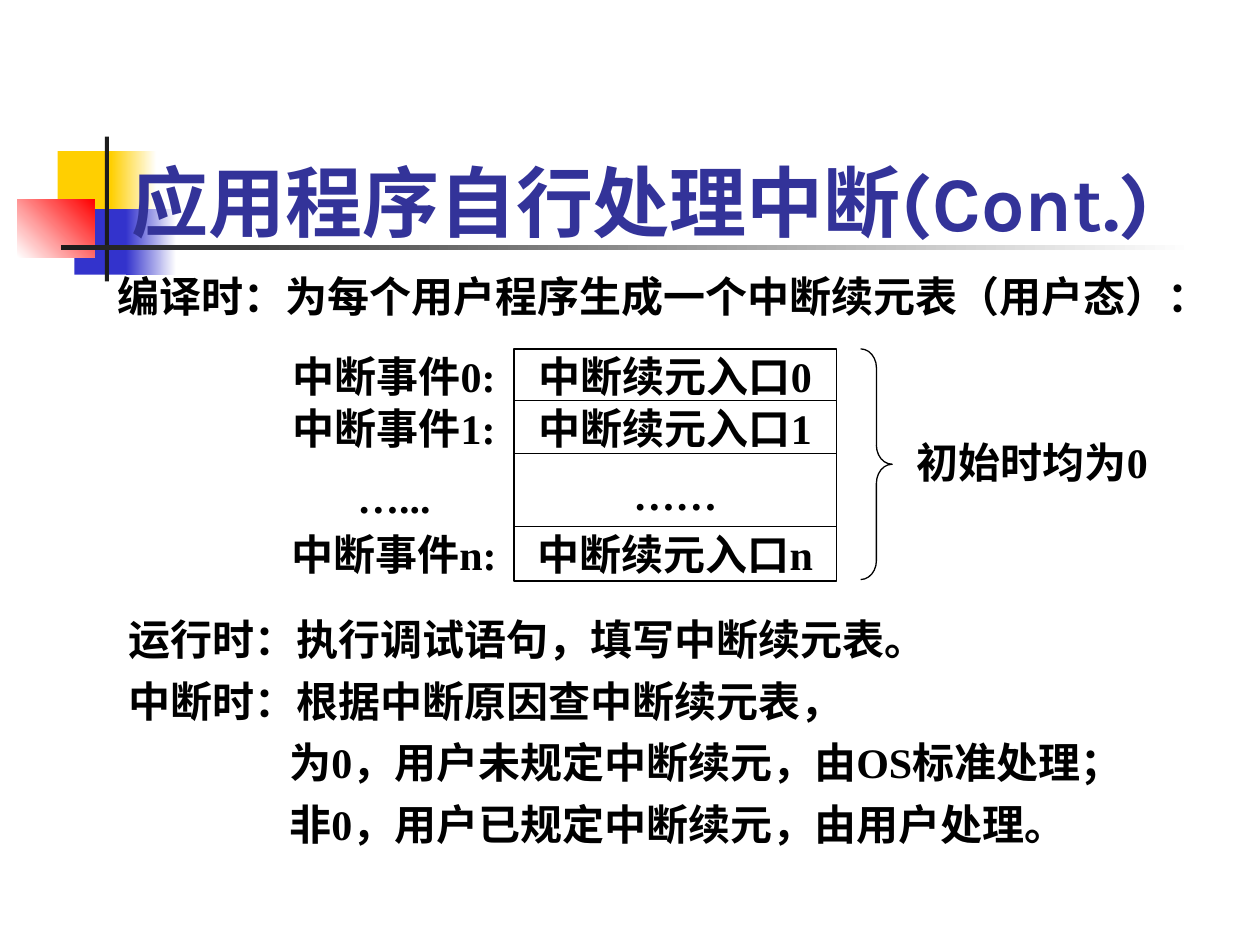
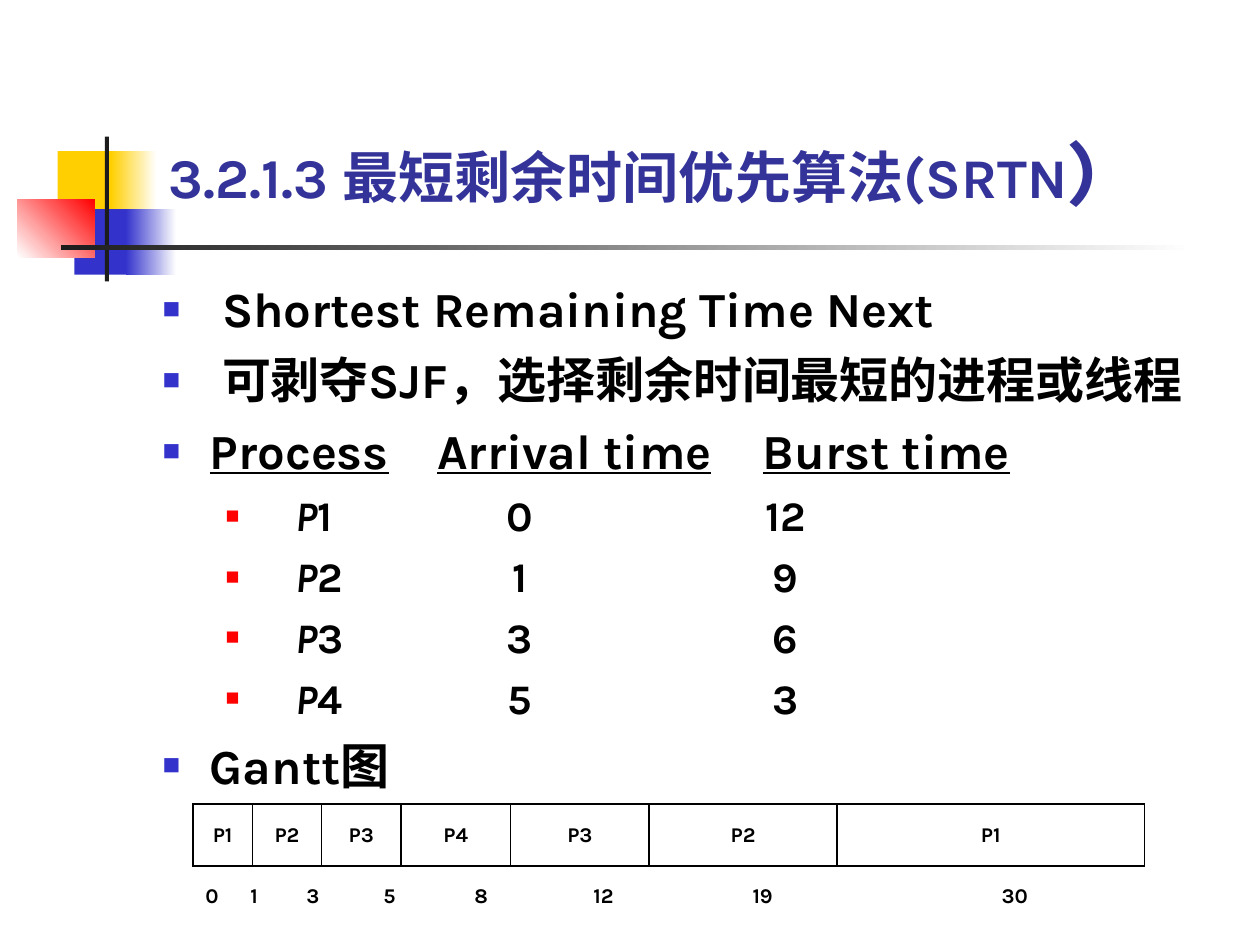
"""Build two operating-system lecture slides: interrupt continuation table and SRTN scheduling."""
from dataclasses import dataclass
from typing import Any, NamedTuple

from lxml import etree
from pptx import Presentation
from pptx import util as u
from pptx.dml import color
from pptx.enum import shapes, text
from pptx.oxml import ns

COLORS = {
    "gold": "FFCF01", "blue": "3333CC", "red": "FF0000", "ink": "1C1C1C",
    "title": "333399", "text": "000000", "paper": "FFFFFF",
}
SANS, SERIF = "Karla", "Times New Roman"
ALIGN, ANCHOR = text.PP_ALIGN, text.MSO_ANCHOR


class Frame(NamedTuple):
    left: float
    top: float
    width: float
    height: float


class Piece(NamedTuple):
    words: str
    size: float
    underline: bool = False
    italic: bool = False


class Tab(NamedTuple):
    position: float
    align: str = "l"


@dataclass(frozen=True)
class Band:
    frame: Frame
    start: str
    end: str = ""
    angle: float = 0


@dataclass(frozen=True)
class Level:
    margin: float
    hang: float
    before: float
    bullet: str
    percent: int


@dataclass(frozen=True)
class Item:
    level: Level
    pieces: tuple[Piece, ...]
    tabs: tuple[Tab, ...] = ()


@dataclass(frozen=True)
class TableEntry:
    label: str
    entry: str
    top: float
    height: float
    label_top: float
    label_height: float


BANDS = (
    Band(Frame(33, 86.4, 34.6, 37.4), "gold"),
    Band(Frame(63.4, 86.4, 26, 37.4), "gold", "paper"),
    Band(Frame(42.5, 119.5, 33, 37.4), "blue"),
    Band(Frame(72, 119.5, 28.8, 37.4), "blue", "paper"),
    Band(Frame(10, 113.8, 44, 33.1), "paper", "red", 45),
    Band(Frame(60, 78, 2.2, 82.8), "ink"),
    Band(Frame(34.6, 140.2, 648, 2.4), "ink", "paper"),
)

ENTRIES = (
    TableEntry("中断事件0:", "中断续元入口0", 199.4, 31, 199.4, 31),
    TableEntry("中断事件1:", "中断续元入口1", 229, 31, 229, 31),
    TableEntry("…...", "……", 259.2, 45.4, 267.1, 33.8),
    TableEntry("中断事件n:", "中断续元入口n", 301, 31, 301, 31),
)
PHASES = (
    ("运行时：执行调试语句，填写中断续元表。", 0),
    ("中断时：根据中断原因查中断续元表，", 0),
    ("为0，用户未规定中断续元，由OS标准处理；", 92),
    ("非0，用户已规定中断续元，由用户处理。", 92),
)

POINT = Level(27, 27, 7, "blue", 60)
WIDE_POINT = Level(34, 34, 7, "blue", 60)
PROCESS = Level(76, 40, 6, "red", 55)
HEADING_TABS = (Tab(157), Tab(343))
PROCESS_TABS = (Tab(204, "ctr"), Tab(356, "ctr"))
PROCESSES = ((1, 0, 12), (2, 1, 9), (3, 3, 6), (4, 5, 3))
GANTT = (("P1", 34), ("P2", 39.6), ("P3", 45.4), ("P4", 62.6),
         ("P3", 79.2), ("P2", 107.3), ("P1", 175.7))
GANTT_TIMES = "0\t1\t3\t5\t8\t12\t19\t30"
GANTT_TABS = tuple(Tab(x) for x in (25.7, 57.7, 101.7, 153.7, 221.7, 312.6, 455))


def rgb(name: str) -> color.RGBColor:
    """Look up a palette colour."""
    return color.RGBColor.from_string(COLORS[name])


def points(frame: Frame) -> list[u.Pt]:
    """Convert a frame to lengths."""
    return [u.Pt(value) for value in frame]


def place(shape: Any, frame: Frame) -> None:
    """Move a placeholder to a frame."""
    shape.left, shape.top, shape.width, shape.height = points(frame)


def add(parent: Any, tag: str, **attributes: object) -> Any:
    """Append a drawing element to a parent element."""
    values = {key: str(value) for key, value in attributes.items()}
    return etree.SubElement(parent, ns.qn(f"a:{tag}"), values)


def format_runs(paragraph: Any, size: float, font: str, ink: str = "text") -> None:
    """Give every run of a paragraph the same bold type."""
    for run in paragraph.runs:
        run.font.size, run.font.name, run.font.bold = u.Pt(size), font, True
        run.font.color.rgb = rgb(ink)


def write_pieces(paragraph: Any, pieces: tuple[Piece, ...], ink: str = "text") -> None:
    """Fill a paragraph with differently formatted runs."""
    for piece in pieces:
        run = paragraph.add_run()
        run.text = piece.words
        run.font.size, run.font.name, run.font.bold = u.Pt(piece.size), SANS, True
        run.font.underline, run.font.italic = piece.underline, piece.italic
        run.font.color.rgb = rgb(ink)


def set_tabs(paragraph: Any, tabs: tuple[Tab, ...]) -> None:
    """Set the tab stops of a paragraph."""
    stops = add(paragraph._p.get_or_add_pPr(), "tabLst")
    for tab in tabs:
        add(stops, "tab", pos=u.Pt(tab.position), algn=tab.align)


def set_indent(paragraph: Any, margin: float, hang: float = 0) -> None:
    """Indent a paragraph, with an optional hanging first line."""
    properties = paragraph._p.get_or_add_pPr()
    properties.set("marL", str(u.Pt(margin)))
    properties.set("indent", str(-u.Pt(hang)))


def set_bullet(paragraph: Any, level: Level) -> None:
    """Give a paragraph a coloured square bullet."""
    set_indent(paragraph, level.margin, level.hang)
    properties = paragraph._p.get_or_add_pPr()
    add(add(properties, "buClr"), "srgbClr", val=COLORS[level.bullet])
    add(properties, "buSzPct", val=level.percent * 1000)
    add(properties, "buFont", typeface="Arial")
    add(properties, "buChar", char="■")


def add_box(slide: Any, frame: Frame, fill: str = "paper", line: str = "",
            kind: Any = shapes.MSO_SHAPE.RECTANGLE) -> Any:
    """Add a flat preset shape."""
    box = slide.shapes.add_shape(kind, *points(frame))
    box.shadow.inherit = False
    box.fill.solid()
    box.fill.fore_color.rgb = rgb(fill)
    if line:
        box.line.color.rgb, box.line.width = rgb(line), u.Pt(0.75)
    else:
        box.line.fill.background()
    return box


def add_label(slide: Any, words: str, frame: Frame, line: str = "") -> None:
    """Add a box with one centred line."""
    label = add_box(slide, frame, line=line)
    label.text_frame.text = words
    label.text_frame.word_wrap = False
    label.text_frame.vertical_anchor = ANCHOR.MIDDLE
    paragraph = label.text_frame.paragraphs[0]
    paragraph.alignment = ALIGN.CENTER
    format_runs(paragraph, 24, SERIF)


def add_bands(deck: Any, slide: Any) -> None:
    """Draw the shared bands and hand them to the slide master."""
    tree = deck.slide_master.shapes._spTree
    for index, band in enumerate(BANDS):
        shape = add_box(slide, band.frame, band.start)
        if band.end:
            shape.fill.gradient()
            shape.fill.gradient_angle = band.angle
            for stop, name in zip(shape.fill.gradient_stops, (band.start, band.end)):
                stop.color.rgb = rgb(name)
        shape._element.nvSpPr.cNvPr.set("id", str(100 + index))
        tree.insert(2 + index, shape._element)


def set_title(slide: Any, frame: Frame, pieces: tuple[Piece, ...], inset: float) -> None:
    """Place and write the slide title."""
    title = slide.shapes.title
    place(title, frame)
    content = title.text_frame
    content.auto_size, content.word_wrap = text.MSO_AUTO_SIZE.NONE, True
    content.vertical_anchor = ANCHOR.BOTTOM
    content.margin_left = content.margin_right = u.Pt(inset)
    content.margin_top = content.margin_bottom = u.Pt(inset / 2)
    content.paragraphs[0].alignment = ALIGN.LEFT
    write_pieces(content.paragraphs[0], pieces, "title")


def build_interrupts(slide: Any) -> None:
    """Fill the slide on interrupts handled by the application."""
    set_title(slide, Frame(67.7, 54.7, 613.4, 90),
              (Piece("应用程序自行处理中断(Cont.)", 44),), 7.2)
    compile_time = slide.shapes.add_textbox(*points(Frame(59.8, 151.2, 649.4, 36))).text_frame
    compile_time.word_wrap = True
    compile_time.text = "编译时：为每个用户程序生成一个中断续元表（用户态）："
    format_runs(compile_time.paragraphs[0], 24, SERIF)

    for row in ENTRIES:
        add_label(slide, row.entry, Frame(293.8, row.top, 184.3, row.height), "text")
        add_label(slide, row.label, Frame(161.5, row.label_top, 127.4, row.label_height))

    run_time = add_box(slide, Frame(66.2, 355, 605.5, 133.2)).text_frame
    run_time.word_wrap, run_time.vertical_anchor = True, ANCHOR.TOP
    run_time.text = "\n".join(words for words, _ in PHASES)
    for index, (paragraph, (_, margin)) in enumerate(zip(run_time.paragraphs, PHASES)):
        set_indent(paragraph, margin)
        paragraph.alignment, paragraph.line_spacing = ALIGN.LEFT, 0.7
        paragraph.space_before = u.Pt(15 if index else 0)
        format_runs(paragraph, 24, SERIF)

    brace = add_box(slide, Frame(491.8, 199.4, 18, 131.8), line="text",
                    kind=shapes.MSO_SHAPE.RIGHT_BRACE)
    brace.adjustments[0], brace.adjustments[1] = 0.6, 0.5
    add_label(slide, "初始时均为0", Frame(522, 235.4, 136, 56.9))


def srtn_items() -> list[Item]:
    """List the body paragraphs of the scheduling slide."""
    heading = (Piece("Process", 28, True), Piece("\t", 28), Piece("Arrival time", 28, True),
               Piece("\t", 28), Piece("Burst time", 28, True))
    rows = [Item(PROCESS, (Piece("P", 24, italic=True), Piece(f"{number}\t{arrival}\t{burst}", 24)),
                 PROCESS_TABS) for number, arrival, burst in PROCESSES]
    return [
        Item(WIDE_POINT, (Piece("Shortest Remaining Time Next", 28),)),
        Item(WIDE_POINT, (Piece("可剥夺SJF，选择剩余时间最短的进程或线程", 28),)),
        Item(POINT, heading, HEADING_TABS),
        *rows,
        Item(POINT, (Piece("Gantt图", 28),)),
    ]


def set_borders(cell: Any, drawn: str) -> None:
    """Draw the named sides of a cell and clear its fill."""
    properties = cell._tc.get_or_add_tcPr()
    for side in "LRTB":
        border = add(properties, f"ln{side}", w=u.Pt(1.08))
        if side in drawn:
            add(add(border, "solidFill"), "srgbClr", val=COLORS["text"])
        else:
            add(border, "noFill")
    cell.fill.background()
    cell.vertical_anchor = ANCHOR.MIDDLE


def add_gantt(slide: Any) -> None:
    """Add the Gantt chart as a table with its time scale."""
    widths = [width for _, width in GANTT]
    frame = Frame(110.2, 459.4, sum(widths), 72)
    gantt = slide.shapes.add_table(2, len(GANTT), *points(frame)).table
    gantt.first_row = gantt.horz_banding = False
    gantt.rows[0].height, gantt.rows[1].height = u.Pt(35.5), u.Pt(36.5)
    for column, (process, width) in enumerate(GANTT):
        gantt.columns[column].width = u.Pt(width)
        cell = gantt.cell(0, column)
        cell.text_frame.text = process
        cell.text_frame.paragraphs[0].alignment = ALIGN.CENTER
        format_runs(cell.text_frame.paragraphs[0], 12, SANS)
        set_borders(cell, "LRTB")
        set_borders(gantt.cell(1, column), "T")
    scale = gantt.cell(1, 0)
    scale.merge(gantt.cell(1, len(GANTT) - 1))
    scale.text_frame.text = GANTT_TIMES
    times = scale.text_frame.paragraphs[0]
    set_tabs(times, GANTT_TABS)
    times.line_spacing = 0.8
    format_runs(times, 12, SANS)


def build_srtn(slide: Any) -> None:
    """Fill the slide on shortest remaining time next."""
    set_title(slide, Frame(96.5, 69.8, 555.8, 52.6),
              (Piece("3.2.1.3 最短剩余时间优先算法(SRTN", 32), Piece(")", 44)), 0)
    body = slide.placeholders[1]
    place(body, Frame(92.9, 159.1, 627.1, 294.5))
    content = body.text_frame
    content.auto_size = text.MSO_AUTO_SIZE.NONE
    content.margin_left = content.margin_right = content.margin_top = content.margin_bottom = 0
    for index, item in enumerate(srtn_items()):
        paragraph = content.add_paragraph() if index else content.paragraphs[0]
        paragraph.level = int(item.level is PROCESS)
        set_bullet(paragraph, item.level)
        if item.tabs:
            set_tabs(paragraph, item.tabs)
        paragraph.space_before = u.Pt(item.level.before if index else 0)
        write_pieces(paragraph, item.pieces)
    add_gantt(slide)


def main() -> None:
    """Build and save the deck."""
    deck = Presentation()
    deck.slide_width, deck.slide_height = u.Pt(720), u.Pt(540)
    interrupts = deck.slides.add_slide(deck.slide_layouts[5])
    add_bands(deck, interrupts)
    build_interrupts(interrupts)
    build_srtn(deck.slides.add_slide(deck.slide_layouts[1]))
    deck.save("out.pptx")


if __name__ == "__main__":
    main()
